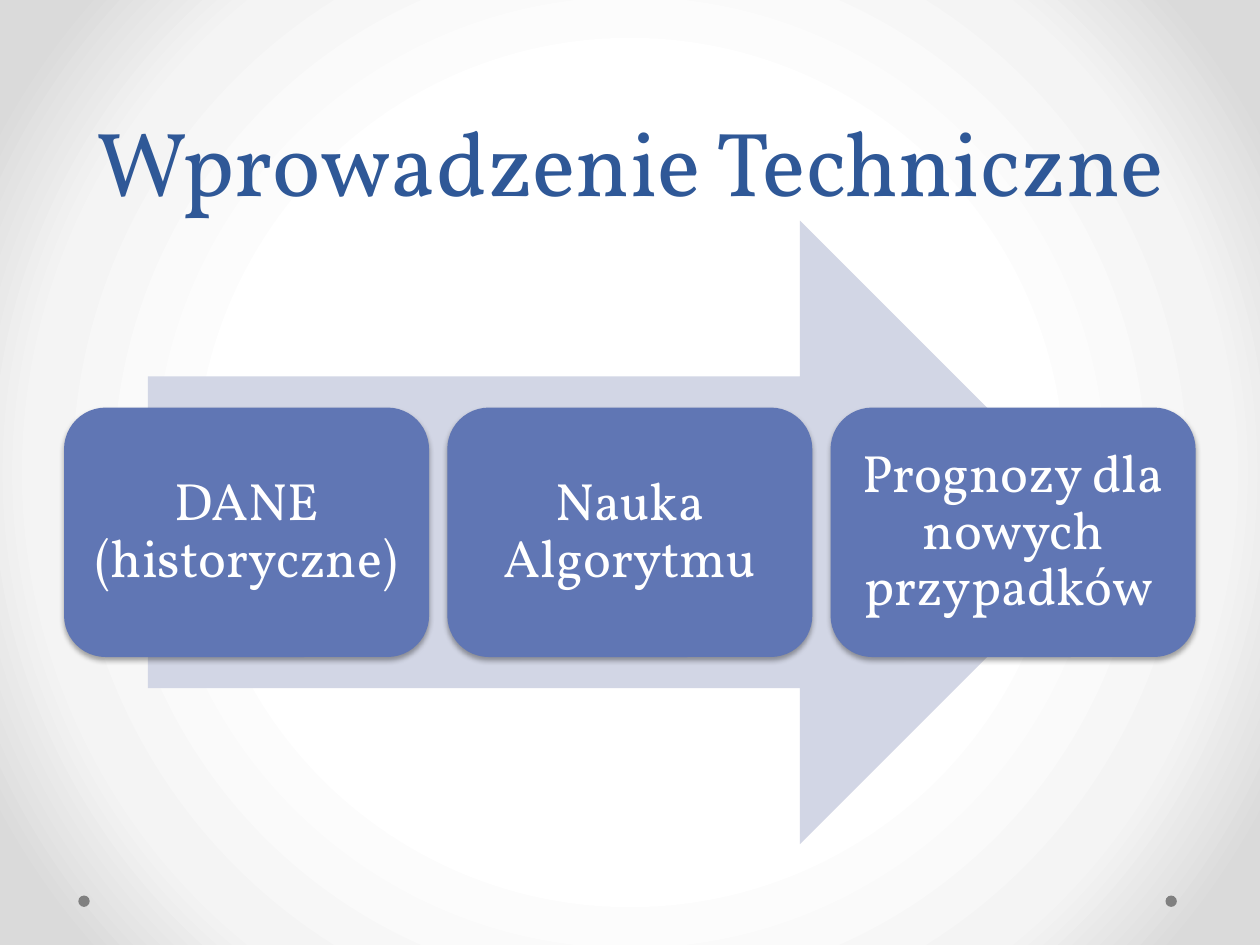
from pptx import Presentation
from pptx.dml.color import RGBColor
from pptx.enum.shapes import MSO_SHAPE
from pptx.enum.text import MSO_ANCHOR, PP_ALIGN
from pptx.oxml import parse_xml
from pptx.oxml.ns import nsdecls, qn
from pptx.util import Pt

COLORS = {
    "title": "2F5897",
    "arrow": "D2D6E5",
    "step": "6076B4",
    "step_text": "FFFFFF",
    "dot": "808080",
    "shadow": "000000",
}
BACKGROUND_STOPS = [(50, "FFFFFF"), (76, "F4F4F4"), (92, "DADADA")]
STEPS = ["DANE (historyczne)", "Nauka Algorytmu", "Prognozy dla nowych przypadków "]


class SlideBuilder:
    font_name = "Vollkorn"

    def __init__(self, slide):
        self.slide = slide

    def radial_background(self, stops):
        stop_xml = "".join(
            f'<a:gs pos="{position * 1000}"><a:srgbClr val="{color}"/></a:gs>'
            for position, color in stops
        )
        background = parse_xml(
            f'<p:bg {nsdecls("p", "a")}><p:bgPr><a:gradFill rotWithShape="1">'
            f"<a:gsLst>{stop_xml}</a:gsLst>"
            '<a:path path="circle">'
            '<a:fillToRect l="50000" t="50000" r="50000" b="50000"/></a:path>'
            "</a:gradFill><a:effectLst/></p:bgPr></p:bg>"
        )
        self.slide.element.find(qn("p:cSld")).insert(0, background)

    def shape(self, kind, left, top, width, height, color):
        shape = self.slide.shapes.add_shape(
            kind, Pt(left), Pt(top), Pt(width), Pt(height)
        )
        shape.shadow.inherit = False
        shape.fill.solid()
        shape.fill.fore_color.rgb = RGBColor.from_string(COLORS[color])
        shape.line.fill.background()
        return shape

    def shadow(self, shape, blur, distance, opacity):
        """Add a shadow that falls straight down."""
        shape._element.spPr.find(qn("a:effectLst")).append(parse_xml(
            f'<a:outerShdw {nsdecls("a")} blurRad="{Pt(blur)}" dist="{Pt(distance)}" '
            f'dir="5400000" rotWithShape="0"><a:srgbClr val="{COLORS["shadow"]}">'
            f'<a:alpha val="{opacity * 1000}"/></a:srgbClr></a:outerShdw>'
        ))

    def add_text(self, shape, text, size, color, anchor, line_spacing):
        frame = shape.text_frame
        frame.word_wrap = True
        frame.vertical_anchor = anchor
        paragraph = frame.paragraphs[0]
        paragraph.alignment = PP_ALIGN.CENTER
        paragraph.line_spacing = line_spacing
        run = paragraph.add_run()
        run.text = text
        run.font.name = self.font_name
        run.font.size = Pt(size)
        run.font.color.rgb = RGBColor.from_string(COLORS[color])
        return frame

    def title(self, text, left, top, width, height):
        box = self.slide.shapes.add_textbox(Pt(left), Pt(top), Pt(width), Pt(height))
        self.add_text(box, text, 52, "title", MSO_ANCHOR.BOTTOM, Pt(58))

    def step(self, text, left, top, width, height):
        box = self.shape(MSO_SHAPE.ROUNDED_RECTANGLE, left, top, width, height, "step")
        self.shadow(box, blur=3.1, distance=1.8, opacity=35)
        frame = self.add_text(box, text, 30, "step_text", MSO_ANCHOR.MIDDLE, 0.9)
        # The rounded corners already inset the text by about 7 points.
        frame.margin_left = frame.margin_right = Pt(8.64)
        frame.margin_top = frame.margin_bottom = Pt(8.64)


def main():
    presentation = Presentation()
    presentation.slide_width, presentation.slide_height = Pt(720), Pt(540)
    builder = SlideBuilder(presentation.slides.add_slide(presentation.slide_layouts[6]))

    builder.radial_background(BACKGROUND_STOPS)
    for left in (666, 44.75):
        builder.shape(MSO_SHAPE.OVAL, left, 511.75, 6.5, 6.5, "dot")
    builder.title("Wprowadzenie Techniczne", 36, 0, 648, 126)
    builder.shape(MSO_SHAPE.RIGHT_ARROW, 84.5, 126, 550.8, 356.4, "arrow")

    step_width, gap = 208.6, 10.4
    for index, text in enumerate(STEPS):
        left = 36.6 + index * (step_width + gap)
        builder.step(text, left, 232.9, step_width, 142.56)

    presentation.save("out.pptx")


if __name__ == "__main__":
    main()
